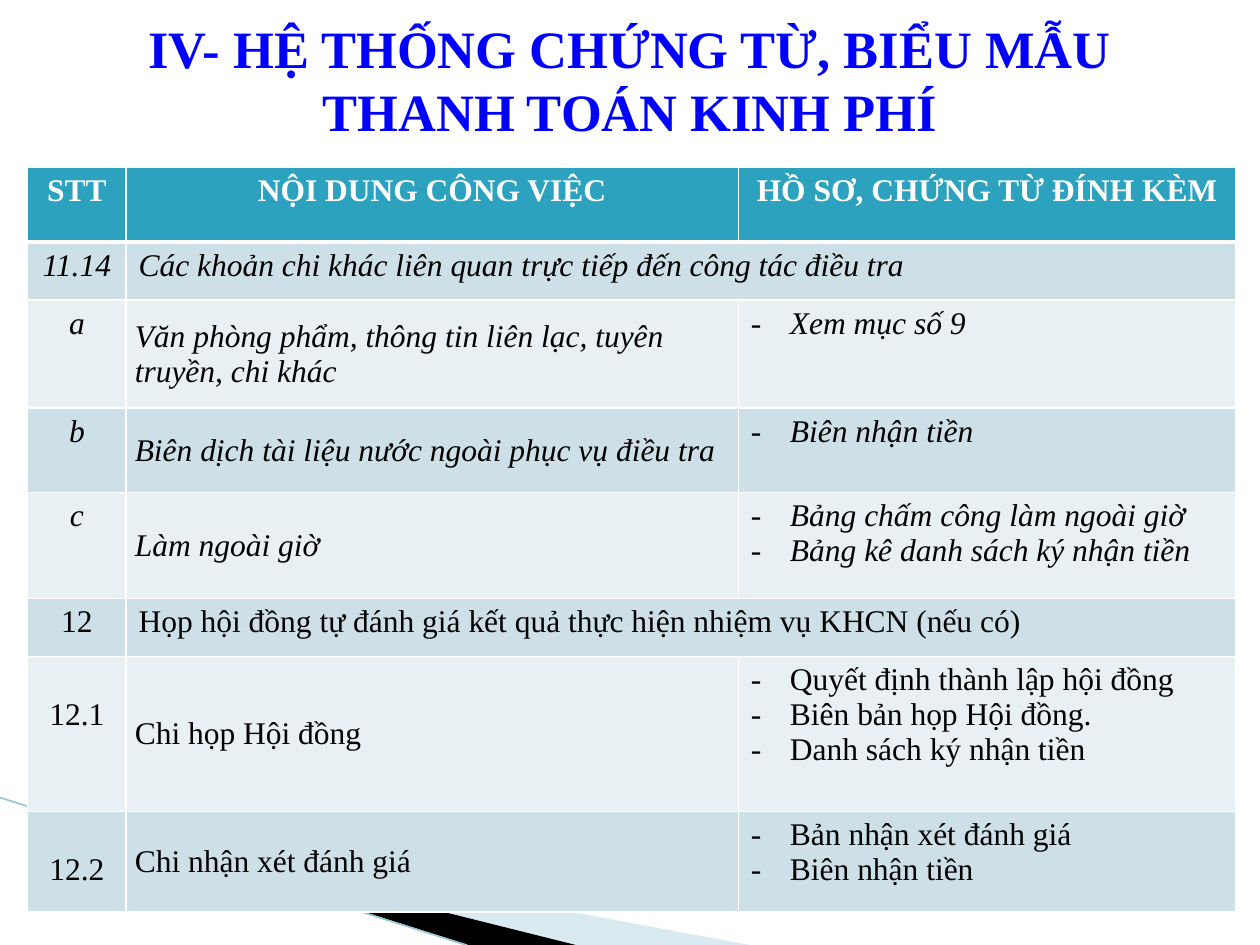
from lxml.etree import SubElement
from pptx import Presentation
from pptx.dml.color import RGBColor
from pptx.enum.shapes import MSO_CONNECTOR
from pptx.enum.text import MSO_ANCHOR, PP_ALIGN
from pptx.oxml.ns import qn
from pptx.util import Inches, Pt

WHITE = RGBColor(0xFF, 0xFF, 0xFF)
BLACK = RGBColor(0, 0, 0)
TITLE_BLUE = RGBColor(0, 0, 0xFF)
HEADER_TEAL = RGBColor(0x2D, 0xA2, 0xBF)
BAND_DARK = RGBColor(0xCD, 0xE0, 0xE8)
BAND_LIGHT = RGBColor(0xE8, 0xF0, 0xF4)
SWOOSH_BLUE = RGBColor(0xA0, 0xCB, 0xDC)
SWOOSH_LINE = RGBColor(0x97, 0xC5, 0xD8)
FONT = "Times New Roman"


def write_text(frame, lines, size=18, color=BLACK, bold=False, italic=False,
               align=PP_ALIGN.LEFT, dashed=False):
    """Write one paragraph per line, with dash bullets if wanted."""
    for index, line in enumerate(lines):
        paragraph = frame.add_paragraph() if index else frame.paragraphs[0]
        paragraph.alignment = align
        run = paragraph.add_run()
        run.text = line
        font = run.font
        font.name, font.size, font.bold, font.italic = FONT, Pt(size), bold, italic
        font.color.rgb = color
        if dashed:
            properties = paragraph._p.get_or_add_pPr()
            properties.set("marL", str(Inches(0.31)))
            properties.set("indent", str(-Inches(0.31)))
            SubElement(properties, qn("a:buFont"), typeface=FONT)
            SubElement(properties, qn("a:buChar"), char="-")


class SlideBuilder:
    def __init__(self, slide):
        self.slide = slide
        self.shapes = slide.shapes

    def background(self, color):
        fill = self.slide.background.fill
        fill.solid()
        fill.fore_color.rgb = color

    def polygon(self, points, color, opacity=100):
        corners = [(Inches(x), Inches(y)) for x, y in points]
        builder = self.shapes.build_freeform(*corners[0])
        builder.add_line_segments(corners[1:], close=True)
        shape = builder.convert_to_shape()
        shape.shadow.inherit = False
        shape.line.fill.background()
        shape.fill.solid()
        shape.fill.fore_color.rgb = color
        if opacity < 100:
            color_element = shape._element.spPr.find(".//" + qn("a:srgbClr"))
            SubElement(color_element, qn("a:alpha"), val=str(opacity * 1000))

    def line(self, start, end, color, width):
        connector = self.shapes.add_connector(
            MSO_CONNECTOR.STRAIGHT, *(Inches(value) for value in start + end))
        connector.line.color.rgb = color
        connector.line.width = Pt(width)
        SubElement(connector._element.spPr, qn("a:effectLst"))

    def title(self, text, left, top, width, height):
        box = self.shapes.add_textbox(
            Inches(left), Inches(top), Inches(width), Inches(height))
        frame = box.text_frame
        frame.word_wrap = True
        frame.vertical_anchor = MSO_ANCHOR.MIDDLE
        write_text(frame, [text], size=30, color=TITLE_BLUE, bold=True,
                   align=PP_ALIGN.CENTER)

    def table(self, left, top, widths, heights):
        frame = self.shapes.add_table(
            len(heights), len(widths), Inches(left), Inches(top),
            Inches(sum(widths)), Inches(sum(heights)))
        table = frame.table
        for column, width in zip(table.columns, widths):
            column.width = Inches(width)
        for row, height in zip(table.rows, heights):
            row.height = Inches(height)
        return table

    def cell(self, cell, fill, bottom=1):
        properties = cell._tc.get_or_add_tcPr()
        for side, width in (("L", 1), ("R", 1), ("T", 1), ("B", bottom)):
            border = SubElement(properties, qn("a:ln" + side), w=str(Pt(width)))
            solid = SubElement(border, qn("a:solidFill"))
            SubElement(solid, qn("a:srgbClr"), val=str(WHITE))
        cell.fill.solid()
        cell.fill.fore_color.rgb = fill


presentation = Presentation()
presentation.slide_width, presentation.slide_height = Inches(10), Inches(7.5)
builder = SlideBuilder(presentation.slides.add_slide(presentation.slide_layouts[6]))

# Background and corner swoosh
builder.background(WHITE)
builder.polygon([(0.55, 6.5), (5.95, 7.5), (4.56, 7.5)], SWOOSH_BLUE, opacity=40)
builder.polygon([(0.53, 6.49), (4.57, 7.5), (3.72, 7.5)], BLACK)
builder.line((0, 6.33), (3.7, 7.5), SWOOSH_LINE, 0.95)

# Title
builder.title("IV- HỆ THỐNG CHỨNG TỪ, BIỂU MẪU THANH TOÁN KINH PHÍ", 0.5, 0, 9, 1.25)

# Table content: number, work, attached documents (none: work spans both columns)
HEADERS = ["STT", "NỘI DUNG CÔNG VIỆC", "HỒ SƠ, CHỨNG TỪ ĐÍNH KÈM"]
ROWS = [
    ("11.14", "Các khoản chi khác liên quan trực tiếp đến công tác điều tra", []),
    ("a", "Văn phòng phẩm, thông tin liên lạc, tuyên truyền, chi khác",
     ["Xem mục số 9"]),
    ("b", "Biên dịch tài liệu nước ngoài phục vụ điều tra", ["Biên nhận tiền"]),
    ("c", "Làm ngoài giờ",
     ["Bảng chấm công làm ngoài giờ", "Bảng kê danh sách ký nhận tiền"]),
    ("12", "Họp hội đồng tự đánh giá kết quả thực hiện nhiệm vụ KHCN (nếu có)", []),
    ("12.1", "Chi họp Hội đồng",
     ["Quyết định thành lập hội đồng", "Biên bản họp Hội đồng.",
      "Danh sách ký nhận tiền"]),
    ("12.2", "Chi nhận xét đánh giá", ["Bản nhận xét đánh giá", "Biên nhận tiền"]),
]
table = builder.table(0.22, 1.33, [0.78, 4.86, 3.95],
                      [0.59, 0.46, 0.86, 0.67, 0.84, 0.46, 1.23, 0.8])

# Header row
for column, header in enumerate(HEADERS):
    cell = table.cell(0, column)
    builder.cell(cell, HEADER_TEAL, bottom=3)
    write_text(cell.text_frame, [header], color=WHITE, bold=True,
               align=PP_ALIGN.CENTER)

# Body rows
for index, (number, work, documents) in enumerate(ROWS, start=1):
    italic = not number.startswith("12")
    cells = [table.cell(index, column) for column in range(3)]
    number_cell, work_cell, document_cell = cells
    for cell in cells:
        builder.cell(cell, BAND_DARK if index % 2 else BAND_LIGHT)
    write_text(number_cell.text_frame, [number], italic=italic,
               align=PP_ALIGN.CENTER)
    write_text(work_cell.text_frame, [work], italic=italic)
    if number.startswith("12."):
        number_cell.margin_top = Inches(0.33)
    if documents:
        work_cell.vertical_anchor = MSO_ANCHOR.MIDDLE
        work_cell.margin_left = work_cell.margin_right = Inches(0.07)
        work_cell.margin_top = work_cell.margin_bottom = 0
        write_text(document_cell.text_frame, documents, italic=italic, dashed=True)
    else:
        work_cell.merge(document_cell)

presentation.save("out.pptx")
